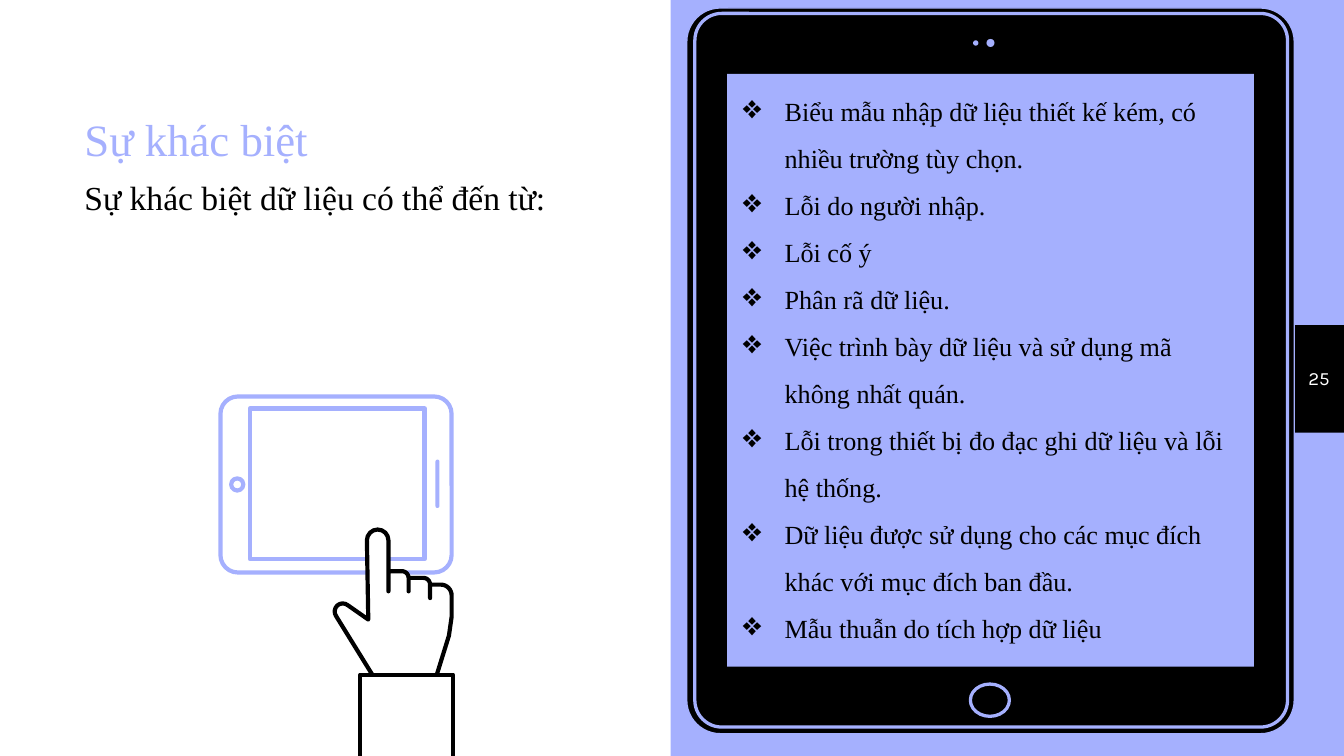
from dataclasses import dataclass
from math import cos, radians, sin

from lxml.etree import SubElement
from pptx import Presentation
from pptx.dml.color import RGBColor
from pptx.enum.shapes import MSO_SHAPE
from pptx.enum.text import MSO_ANCHOR, PP_ALIGN
from pptx.oxml.ns import qn
from pptx.util import Inches, Pt


@dataclass(frozen=True)
class Theme:
    """Colours, fonts and type sizes."""
    lilac: str = "A5B0FE"
    black: str = "000000"
    white: str = "FFFFFF"
    serif: str = "Times New Roman"
    sans: str = "Karla"
    title: int = 24
    lead: int = 18
    body: int = 14
    small: int = 10


class Deck:
    """Draws styled elements on the current slide."""

    def __init__(self, theme, width, height):
        self.theme = theme
        self.file = Presentation()
        self.file.slide_width = Inches(width)
        self.file.slide_height = Inches(height)

    def page(self, color):
        self.slide = self.file.slides.add_slide(self.file.slide_layouts[6])
        fill = self.slide.background.fill
        fill.solid()
        fill.fore_color.rgb = RGBColor.from_string(color)

    def paint(self, shape, fill, line, weight):
        shape.shadow.inherit = False
        if fill:
            shape.fill.solid()
            shape.fill.fore_color.rgb = RGBColor.from_string(fill)
        else:
            shape.fill.background()
        if line:
            shape.line.color.rgb = RGBColor.from_string(line)
            shape.line.width = Pt(weight)
        else:
            shape.line.fill.background()

    def shape(self, kind, box, fill=None, line=None, weight=1, radius=None):
        item = self.slide.shapes.add_shape(kind, *map(Inches, box))
        if radius is not None:
            item.adjustments[0] = radius / min(box[2:])
        self.paint(item, fill, line, weight)

    def outline(self, points, fill, line, weight):
        spots = [(Inches(x), Inches(y)) for x, y in points]
        pen = self.slide.shapes.build_freeform(*spots[0])
        pen.add_line_segments(spots[1:], close=False)
        item = pen.convert_to_shape()
        self.paint(item, fill, line, weight)
        edge = item.line._get_or_add_ln()
        edge.set("cap", "rnd")
        SubElement(edge, qn("a:round"))

    def text(self, box, lines, font, anchor=MSO_ANCHOR.TOP, align=PP_ALIGN.LEFT,
             side=0.1, foot=0.1, before=0, space=None, mark=None):
        frame = self.slide.shapes.add_textbox(*map(Inches, box)).text_frame
        frame.word_wrap = True
        frame.vertical_anchor = anchor
        frame.margin_left = frame.margin_right = Inches(side)
        frame.margin_top, frame.margin_bottom = Inches(0.1), Inches(foot)
        for index, (words, size, color) in enumerate(lines):
            para = frame.add_paragraph() if index else frame.paragraphs[0]
            para.text = words
            para.alignment = align
            para.space_before = Pt(before)
            para.line_spacing = space
            para.font.name = font
            para.font.size = Pt(size)
            para.font.color.rgb = RGBColor.from_string(color)
            if mark:
                self.bullet(para, mark, color)

    def bullet(self, para, mark, color):
        props = para._p.get_or_add_pPr()
        props.set("marL", str(Inches(0.31)))
        props.set("indent", str(-Inches(0.31)))
        tint = SubElement(props, qn("a:buClr"))
        SubElement(tint, qn("a:srgbClr")).set("val", color)
        SubElement(props, qn("a:buSzPct")).set("val", "125000")
        SubElement(props, qn("a:buChar")).set("char", mark)
        props.append(props.find(qn("a:defRPr")))


def arc(x, y, radius, start, end, steps=8):
    """Return points along an arc, with angles in degrees."""
    turns = [radians(start + (end - start) * i / steps) for i in range(steps + 1)]
    return [(x + radius * cos(t), y + radius * sin(t)) for t in turns]


theme = Theme()
lilac, black, white = theme.lilac, theme.black, theme.white
RECT, ROUND, OVAL = MSO_SHAPE.RECTANGLE, MSO_SHAPE.ROUNDED_RECTANGLE, MSO_SHAPE.OVAL
width = 10
height = width * 9 / 16
deck = Deck(theme, width, height)
deck.page(lilac)

deck.shape(RECT, (9.63, 2.42, 0.37, 0.8), black)
deck.shape(RECT, (0, 0, 4.99, height), white)

deck.shape(ROUND, (5.11, 0.06, 4.52, 5.4), black, lilac, 0.75, 0.25)
deck.shape(ROUND, (5.17, 0.1, 4.41, 5.31), black, lilac, 1.75, 0.2)
deck.shape(OVAL, (7.24, 0.3, 0.04, 0.04), lilac)
deck.shape(OVAL, (7.34, 0.29, 0.06, 0.06), lilac)
deck.shape(RECT, (5.41, 0.55, 3.92, 4.41), lilac)
deck.shape(OVAL, (7.22, 5.09, 0.29, 0.24), black, lilac, 1.75)

causes = [
    "Biểu mẫu nhập dữ liệu thiết kế kém, có nhiều trường tùy chọn.",
    "Lỗi do người nhập.",
    "Lỗi cố ý",
    "Phân rã dữ liệu.",
    "Việc trình bày dữ liệu và sử dụng mã không nhất quán.",
    "Lỗi trong thiết bị đo đạc ghi dữ liệu và lỗi hệ thống.",
    "Dữ liệu được sử dụng cho các mục đích khác với mục đích ban đầu.",
    "Mẫu thuẫn do tích hợp dữ liệu",
]
deck.text((5.43, 0.57, 3.9, 4.39), [(cause, theme.body, black) for cause in causes],
          theme.serif, MSO_ANCHOR.MIDDLE, foot=0.25, space=1.5, mark="❖")
deck.text((9.63, 2.41, 0.37, 0.8), [("25", theme.small, white)],
          theme.sans, MSO_ANCHOR.MIDDLE, PP_ALIGN.CENTER, side=0.05)
deck.text((0.53, 0.73, 3.95, 4.09),
          [("Sự khác biệt", theme.title, lilac),
           ("Sự khác biệt dữ liệu có thể đến từ:", theme.lead, black)],
          theme.serif, before=6)

stroke = 2.25
deck.shape(ROUND, (1.64, 2.95, 1.72, 1.31), None, lilac, stroke, 0.13)
deck.shape(RECT, (1.86, 3.04, 1.3, 1.12), None, lilac, stroke)
deck.shape(OVAL, (1.72, 3.56, 0.09, 0.09), None, lilac, stroke)
deck.shape(ROUND, (3.24, 3.42, 0.03, 0.36), lilac, radius=0.02)

hand = [
    (2.77, 5.02), *arc(2.55, 4.55, 0.06, 145, 310), (2.74, 4.61),
    *arc(2.81, 4.02, 0.08, 180, 360), (2.89, 4.4), (2.89, 4.25),
    *arc(2.99, 4.3, 0.05, 270, 360), (3.04, 4.4), (3.04, 4.3),
    *arc(3.15, 4.35, 0.05, 270, 360), (3.2, 4.45), (3.2, 4.35),
    *arc(3.28, 4.43, 0.08, 270, 360), (3.36, 4.59), (3.34, 4.73), (3.25, 5.02),
]
sleeve = [(2.68, height), (2.68, 5.02), (3.37, 5.02), (3.37, height)]
for points in (hand, sleeve):
    deck.outline(points, white, black, stroke)

deck.file.save("out.pptx")
